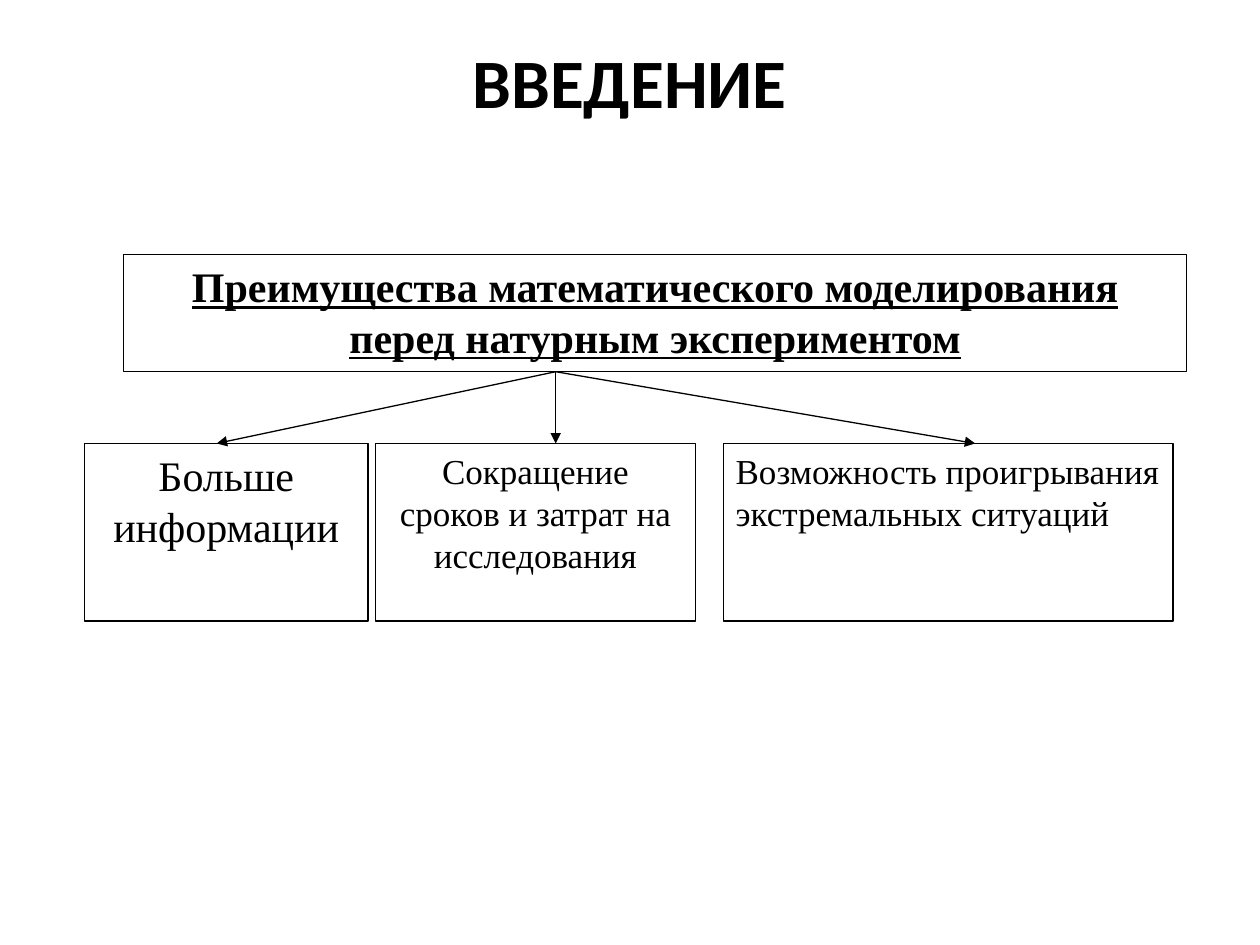
"""Build the introduction slide on the advantages of mathematical modelling."""
from pptx import Presentation
from pptx import util as u
from pptx.dml.color import RGBColor
from pptx.enum import shapes, text
from pptx.oxml.ns import qn
from lxml import etree

BLACK = RGBColor(0, 0, 0)
WHITE = RGBColor(255, 255, 255)
CENTER, LEFT = text.PP_ALIGN.CENTER, text.PP_ALIGN.LEFT

TITLE = "ВВЕДЕНИЕ"
HEADING = "Преимущества математического моделирования перед натурным экспериментом"
HEADING_BOX = (0.98, 2.02, 8.44, 0.93)
ADVANTAGE_TOP, ADVANTAGE_HEIGHT = 3.52, 1.41
ADVANTAGES = [
    {"text": "Больше информации", "left": 0.67, "width": 2.25,
     "arrow_x": 1.72, "format": {"size": 24}},
    {"text": "Сокращение сроков и затрат на исследования", "left": 2.98, "width": 2.54,
     "arrow_x": 4.41, "format": {"size": 20, "space_after": 10}},
    {"text": "Возможность проигрывания экстремальных ситуаций", "left": 5.74, "width": 3.57,
     "arrow_x": 7.74, "format": {"size": 20, "space_after": 10, "align": LEFT}},
]
ARROW_START = (4.41, HEADING_BOX[1] + HEADING_BOX[3])


def write_text(shape, content, size, font="Times New Roman", bold=False, underline=False,
               align=CENTER, anchor=text.MSO_ANCHOR.TOP, space_after=0):
    frame = shape.text_frame
    frame.word_wrap = True
    frame.auto_size = text.MSO_AUTO_SIZE.NONE
    frame.vertical_anchor = anchor
    paragraph = frame.paragraphs[0]
    paragraph.alignment = align
    paragraph.space_after = u.Pt(space_after)
    run = paragraph.add_run()
    run.text = content
    run.font.size = u.Pt(size)
    run.font.name = font
    run.font.bold = bold
    run.font.underline = underline
    run.font.color.rgb = BLACK


def add_box(slide, bounds, content, **text_format):
    shape = slide.shapes.add_shape(shapes.MSO_SHAPE.RECTANGLE, *map(u.Inches, bounds))
    shape.shadow.inherit = False
    shape.fill.solid()
    shape.fill.fore_color.rgb = WHITE
    shape.line.color.rgb = BLACK
    shape.line.width = u.Pt(0.75)
    write_text(shape, content, **text_format)


def add_arrow(slide, start, end):
    connector = slide.shapes.add_connector(
        shapes.MSO_CONNECTOR.STRAIGHT, *map(u.Inches, (*start, *end)))
    connector.line.color.rgb = BLACK
    connector.line.width = u.Pt(0.75)
    etree.SubElement(connector.line._get_or_add_ln(), qn("a:tailEnd"), type="triangle")
    etree.SubElement(connector._element.spPr, qn("a:effectLst"))


def main():
    presentation = Presentation()
    presentation.slide_width, presentation.slide_height = u.Inches(10), u.Inches(7.5)
    slide = presentation.slides.add_slide(presentation.slide_layouts[5])

    title = slide.shapes.title
    title.left, title.top, title.width, title.height = map(u.Inches, (0.5, 0.3, 9, 0.69))
    write_text(title, TITLE, size=39.6, font="Calibri", bold=True,
               anchor=text.MSO_ANCHOR.MIDDLE)

    add_box(slide, HEADING_BOX, HEADING, size=24, bold=True, underline=True, space_after=10)
    for advantage in ADVANTAGES:
        bounds = (advantage["left"], ADVANTAGE_TOP, advantage["width"], ADVANTAGE_HEIGHT)
        add_box(slide, bounds, advantage["text"], **advantage["format"])
    for advantage in ADVANTAGES:
        add_arrow(slide, ARROW_START, (advantage["arrow_x"], ADVANTAGE_TOP))

    presentation.save("out.pptx")


if __name__ == "__main__":
    main()
